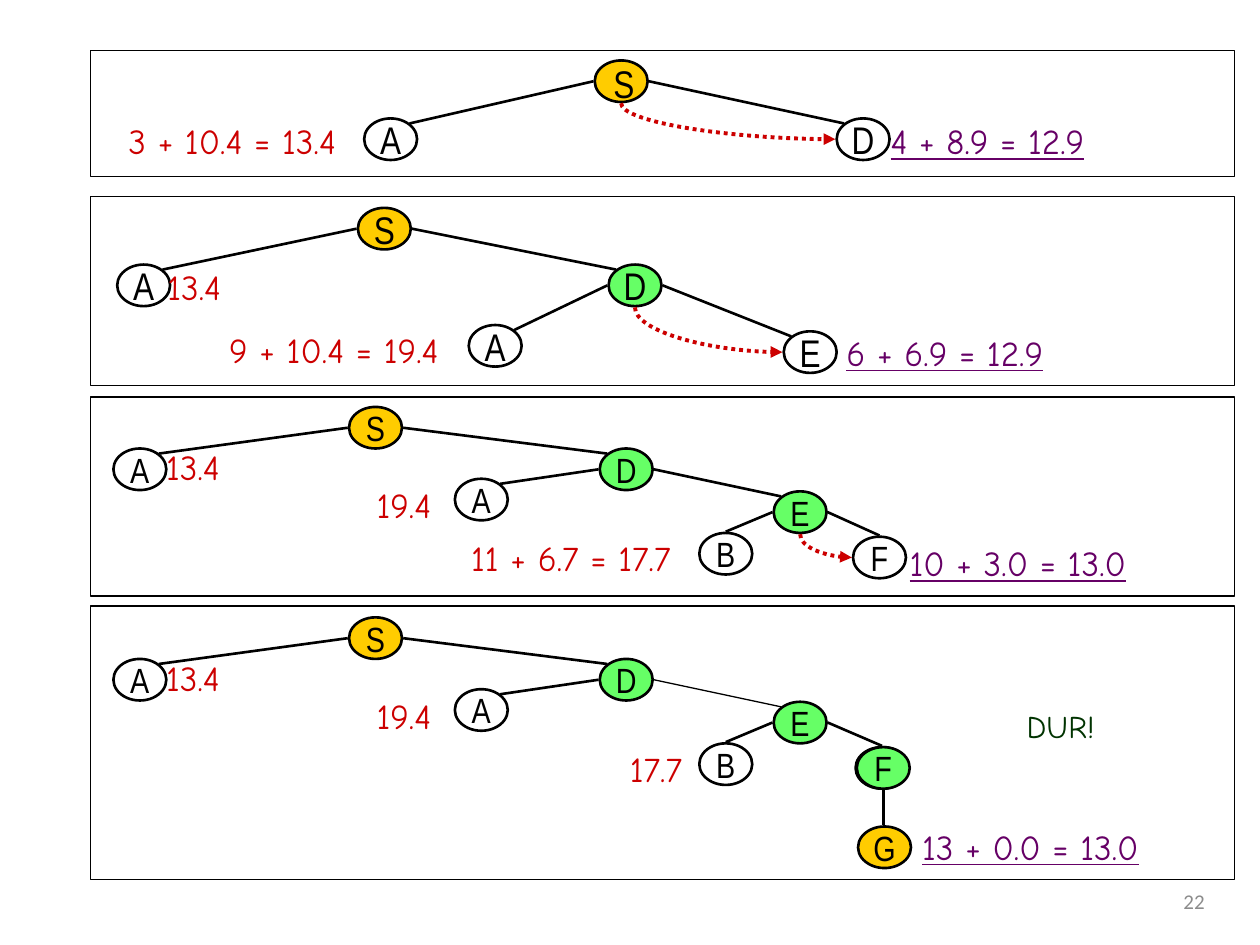
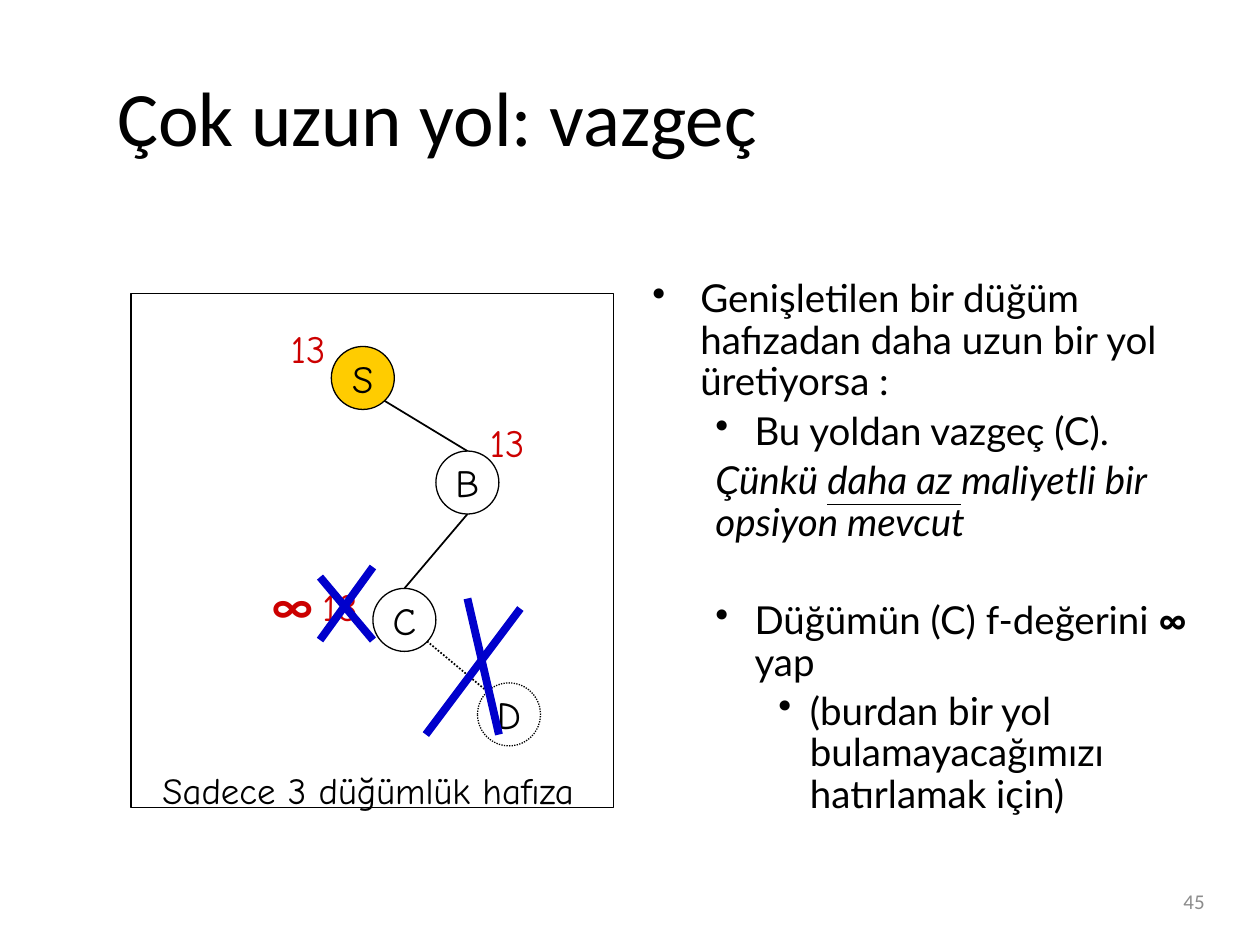
import dataclasses

import lxml.etree
import pptx
import pptx.dml.color
import pptx.enum.dml
import pptx.enum.shapes
import pptx.enum.text
import pptx.oxml.ns
import pptx.util

Inches = pptx.util.Inches
Pt = pptx.util.Pt
qn = pptx.oxml.ns.qn
ALIGN = pptx.enum.text.PP_ALIGN
ANCHOR = pptx.enum.text.MSO_ANCHOR
FIT = pptx.enum.text.MSO_AUTO_SIZE
SHAPE = pptx.enum.shapes.MSO_SHAPE
CONNECTOR = pptx.enum.shapes.MSO_CONNECTOR
DOTTED = pptx.enum.dml.MSO_LINE.ROUND_DOT


@dataclasses.dataclass(frozen=True)
class Theme:
    black: str = "000000"
    white: str = "FFFFFF"
    gold: str = "FFCC00"
    green: str = "66FF66"
    dark_green: str = "003300"
    red: str = "CC0000"
    purple: str = "660066"
    blue: str = "0000CC"
    gray: str = "8C8C8C"
    heading_font: str = "Calibri"
    body_font: str = "Lato"
    hand_font: str = "Comic Neue"
    node_font: str = "Arial Narrow"
    title_size: int = 44
    infinity_size: int = 28
    large_size: int = 22
    caption_size: int = 21
    cost_size: int = 20
    stop_size: int = 18
    number_size: int = 12
    thin: float = 0.75
    edge: float = 1
    thick: float = 1.5
    jump: float = 2.25
    cross: float = 4.5


THEME = Theme()
NODE_WIDTH, NODE_HEIGHT = 0.42, 0.33
CIRCLE = 0.5


def rgb(color):
    return pptx.dml.color.RGBColor.from_string(color)


# ---- Text ----

def write(para, text, size=THEME.large_size, font=THEME.hand_font, color=THEME.black,
          bold=False, italic=False, underline=False, align=None):
    """Append one formatted span to a paragraph."""
    span = para.add_run()
    span.text = text
    span.font.size = Pt(size)
    span.font.name = font
    span.font.color.rgb = rgb(color)
    span.font.bold, span.font.italic, span.font.underline = bold, italic, underline
    if align is not None:
        para.alignment = align


def add_label(page, text, left, top, width, height=0.43, **text_format):
    box = page.shapes.add_textbox(Inches(left), Inches(top), Inches(width), Inches(height))
    box.text_frame.word_wrap = False
    box.text_frame.auto_size = FIT.SHAPE_TO_FIT_TEXT
    write(box.text_frame.paragraphs[0], text, **text_format)


def add_cost(page, text, left, top, width=0.74, best=False):
    add_label(page, text, left, top, width, size=THEME.cost_size,
              color=THEME.purple if best else THEME.red, underline=best)


def add_page_number(page, number):
    box = page.shapes.add_textbox(Inches(7.33), Inches(6.95), Inches(2.33), Inches(0.4))
    box.text_frame.vertical_anchor = ANCHOR.MIDDLE
    write(box.text_frame.paragraphs[0], number, size=THEME.number_size,
          font=THEME.heading_font, color=THEME.gray, align=ALIGN.RIGHT)


def add_body_line(para, spans, level, margin, hanging, bullet=True, before=4.4):
    para.level = level
    para.line_spacing = 0.9
    para.space_before = Pt(before)
    properties = para._p.get_or_add_pPr()
    properties.set("marL", str(Inches(margin)))
    properties.set("indent", str(Inches(-hanging)))
    if bullet:
        lxml.etree.SubElement(properties, qn("a:buChar")).set("char", "•")
    for text, text_format in spans:
        write(para, text, font=THEME.body_font, **text_format)


# ---- Shapes and lines ----

def add_shape(page, kind, left, top, width, height, fill=THEME.white, weight=THEME.thin):
    shape = page.shapes.add_shape(kind, Inches(left), Inches(top), Inches(width), Inches(height))
    shape.shadow.inherit = False
    shape.fill.solid()
    shape.fill.fore_color.rgb = rgb(fill)
    shape.line.color.rgb = rgb(THEME.black)
    shape.line.width = Pt(weight)
    return shape


def add_letter(shape, letter, **text_format):
    frame = shape.text_frame
    frame.word_wrap = False
    frame.vertical_anchor = ANCHOR.MIDDLE
    write(frame.paragraphs[0], letter, align=ALIGN.CENTER, **text_format)


def add_node(page, letter, left, top, fill=THEME.white, size=THEME.large_size):
    """Draw a tree node and return its corner for later links."""
    shape = add_shape(page, SHAPE.OVAL, left, top, NODE_WIDTH, NODE_HEIGHT, fill, THEME.thick)
    if letter:
        add_letter(shape, letter, size=size, font=THEME.node_font)
    return left, top


def add_circle(page, letter, left, top, fill=THEME.white):
    circle = add_shape(page, SHAPE.OVAL, left, top, CIRCLE, CIRCLE, fill)
    add_letter(circle, letter)
    return circle


def add_line(page, start, end, color=THEME.black, weight=THEME.edge, dotted=False,
             kind=CONNECTOR.STRAIGHT):
    points = [Inches(value) for value in (*start, *end)]
    line = page.shapes.add_connector(kind, *points)
    line.line.color.rgb = rgb(color)
    line.line.width = Pt(weight)
    if dotted:
        line.line.dash_style = DOTTED
    lxml.etree.SubElement(line._element.spPr, qn("a:effectLst"))
    return line


def link(page, parent, child, to_top=False, weight=THEME.thick):
    """Join a parent's side to the near shoulder, or the top, of its child."""
    goes_right = child[0] > parent[0]
    start_x = parent[0] + (NODE_WIDTH + 0.01 if goes_right else -0.01)
    inset = NODE_WIDTH / 2 if to_top else 0.06
    end_x = child[0] + (inset if goes_right else NODE_WIDTH - inset)
    end_y = child[1] + (-0.01 if to_top else 0.04)
    add_line(page, (start_x, parent[1] + NODE_HEIGHT / 2), (end_x, end_y), weight=weight)


def jump(page, parent, child):
    """Dotted arrow curving from below the parent to the child's left side."""
    start_x, start_y = parent[0] + NODE_WIDTH / 2, parent[1] + NODE_HEIGHT + 0.01
    end_x, end_y = child[0] - 0.01, child[1] + NODE_HEIGHT / 2
    across, down = (end_x - start_x) / 2, (end_y - start_y) / 2
    middle_x, middle_y = start_x + across, start_y + down
    # The quarter curve starts sideways, so it is laid out flipped and then turned.
    arrow = add_line(page, (middle_x + down, middle_y - across),
                     (middle_x - down, middle_y + across),
                     THEME.red, THEME.jump, True, CONNECTOR.CURVE)
    properties = arrow._element.spPr
    properties.find(qn("a:xfrm")).set("rot", "16200000")
    properties.find(qn("a:prstGeom")).set("prst", "curvedConnector2")
    tail = lxml.etree.SubElement(properties.find(qn("a:ln")), qn("a:tailEnd"))
    tail.set("type", "triangle")


# ---- Search steps slide ----

def add_panel(page, top, height):
    add_shape(page, SHAPE.RECTANGLE, 0.72, top, 9.08, height)


def draw_first_step(page):
    add_panel(page, 0.4, 1)
    root = add_node(page, "", 4.72, 0.48, THEME.gold)
    left_a = add_node(page, "A", 2.89, 0.94)
    right_d = add_node(page, "D", 6.64, 0.94)
    link(page, root, left_a)
    link(page, root, right_d)
    add_cost(page, "3 + 10.4 = 13.4", 0.92, 0.9, 2.05)
    add_cost(page, "4 + 8.9 = 12.9", 6.97, 0.9, 1.93, best=True)
    add_label(page, "S", 4.77, 0.43, 0.37, 0.47, font=THEME.node_font)
    jump(page, root, right_d)


def draw_second_step(page):
    add_panel(page, 1.56, 1.5)
    root = add_node(page, "S", 2.84, 1.65, THEME.gold)
    left_a = add_node(page, "A", 0.93, 2.1)
    right_d = add_node(page, "D", 4.83, 2.1, THEME.green)
    inner_a = add_node(page, "A", 3.72, 2.58)
    right_e = add_node(page, "E", 6.22, 2.63)
    for parent, child in ((root, left_a), (root, right_d), (right_d, inner_a), (right_d, right_e)):
        link(page, parent, child)
    add_cost(page, "13.4", 1.23, 2.06)
    add_cost(page, "9 + 10.4 = 19.4", 1.72, 2.56, 2.05)
    add_cost(page, "6 + 6.9 = 12.9", 6.62, 2.58, 1.93, best=True)
    jump(page, right_d, right_e)


def draw_expanded_tree(page, top, left_of_f, weight_to_e=THEME.thick):
    """Tree shared by the last two steps; returns nodes E and F."""
    size = THEME.cost_size
    root = add_node(page, "S", 2.77, top, THEME.gold, size)
    left_a = add_node(page, "A", 0.9, top + 0.33, size=size)
    right_d = add_node(page, "D", 4.76, top + 0.33, THEME.green, size)
    inner_a = add_node(page, "A", 3.61, top + 0.57, size=size)
    right_e = add_node(page, "E", 6.14, top + 0.67, THEME.green, size)
    left_b = add_node(page, "B", 5.55, top + 1, size=size)
    right_f = add_node(page, "F", left_of_f, top + 1.03, size=size)
    for parent, child in ((root, left_a), (root, right_d), (right_d, inner_a)):
        link(page, parent, child)
    link(page, right_d, right_e, weight=weight_to_e)
    link(page, right_e, left_b, to_top=True)
    link(page, right_e, right_f, to_top=True)
    add_cost(page, "13.4", 1.22, top + 0.26)
    add_cost(page, "19.4", 2.89, top + 0.56)
    return right_e, right_f


def draw_third_step(page):
    add_panel(page, 3.15, 1.58)
    right_e, right_f = draw_expanded_tree(page, 3.23, 6.77)
    add_cost(page, "11 + 6.7 = 17.7", 3.64, 4.21, 2.01)
    add_cost(page, "10 + 3.0 = 13.0", 7.12, 4.25, 2.05, best=True)
    jump(page, right_e, right_f)


def draw_last_step(page):
    add_panel(page, 4.81, 2.17)
    draw_expanded_tree(page, 4.9, 6.79, THEME.thin)
    add_cost(page, "17.7", 4.9, 5.88)
    add_node(page, "F", 6.8, 5.93, THEME.green, THEME.cost_size)
    add_node(page, "G", 6.81, 6.56, THEME.gold, THEME.cost_size)
    add_line(page, (7.01, 6.27), (7.01, 6.55), weight=THEME.thick)
    add_cost(page, "13 + 0.0 = 13.0", 7.22, 6.5, 2.05, best=True)
    add_label(page, "DUR!", 8.05, 5.56, 0.98, 0.5, size=THEME.stop_size, color=THEME.dark_green)


def build_search_steps(deck):
    page = deck.slides.add_slide(deck.slide_layouts[6])
    add_page_number(page, "22")
    for draw_step in (draw_first_step, draw_second_step, draw_third_step, draw_last_step):
        draw_step(page)


# ---- Long path slide ----

def draw_memory_tree(page):
    add_shape(page, SHAPE.RECTANGLE, 1.04, 2.33, 3.83, 4.08)
    add_circle(page, "S", 2.63, 2.75, THEME.gold)
    add_circle(page, "B", 3.46, 3.58)
    add_circle(page, "C", 2.96, 4.67)
    add_line(page, (3.05, 3.18), (3.71, 3.58))
    add_line(page, (3.71, 4.08), (3.21, 4.67))
    add_label(page, "Sadece 3 düğümlük hafıza", 1.19, 6.04, 3.73, 0.45, size=THEME.caption_size)
    add_circle(page, "D", 3.79, 5.42).line.dash_style = DOTTED
    add_line(page, (3.39, 5.09), (3.87, 5.49), dotted=True)
    for value, left, top in (("13", 2.21, 2.53), ("13", 3.79, 3.28), ("18", 2.46, 4.58)):
        add_label(page, value, left, top, 0.52, 0.47, color=THEME.red)
    # Crosses over the old value and the dropped branch
    for start, end in (((2.54, 4.58), (2.96, 5.08)), ((2.96, 4.5), (2.54, 5.08)),
                       ((4.13, 4.83), (3.38, 5.83)), ((3.71, 4.75), (3.96, 5.83))):
        add_line(page, start, end, THEME.blue, THEME.cross)
    add_label(page, "∞", 2.06, 4.51, 0.48, 0.57, size=THEME.infinity_size,
              font=THEME.heading_font, color=THEME.red, bold=True)


def add_explanation(page):
    box = page.shapes.add_textbox(Inches(5.08), Inches(2.17), Inches(4.48), Inches(4.5))
    frame = box.text_frame
    frame.word_wrap = True
    italic = {"italic": True}
    lines = (
        ([("Genişletilen bir düğüm hafızadan daha uzun bir yol üretiyorsa :", {})],
         dict(level=0, margin=0.38, hanging=0.38)),
        ([("Bu yoldan vazgeç (C).", {})], dict(level=1, margin=0.81, hanging=0.31)),
        ([("Çünkü ", italic), ("daha az ", {"italic": True, "underline": True}),
          ("maliyetli bir opsiyon mevcut", italic)],
         dict(level=1, margin=0.5, hanging=0, bullet=False)),
        ([("Düğümün (C) f-değerini ", {}), ("∞", {"bold": True}), (" yap", {})],
         dict(level=1, margin=0.81, hanging=0.31, before=32.5)),
        ([("(burdan bir yol bulamayacağımızı hatırlamak için)", {})],
         dict(level=2, margin=1.25, hanging=0.25)),
    )
    for index, (spans, layout) in enumerate(lines):
        para = frame.add_paragraph() if index else frame.paragraphs[0]
        add_body_line(para, spans, **layout)


def build_long_path(deck):
    page = deck.slides.add_slide(deck.slide_layouts[5])
    title = page.shapes.title
    title.left, title.top = Inches(0.83), Inches(0.29)
    title.width, title.height = Inches(8.83), Inches(1.25)
    title.text_frame.auto_size = FIT.NONE
    title.text_frame.vertical_anchor = ANCHOR.MIDDLE
    write(title.text_frame.paragraphs[0], "Çok uzun yol: vazgeç", size=THEME.title_size,
          font=THEME.heading_font, align=ALIGN.LEFT)
    add_page_number(page, "45")
    draw_memory_tree(page)
    add_explanation(page)


def main():
    deck = pptx.Presentation()
    deck.slide_width, deck.slide_height = Inches(10), Inches(7.5)
    build_search_steps(deck)
    build_long_path(deck)
    deck.save("out.pptx")


if __name__ == "__main__":
    main()
